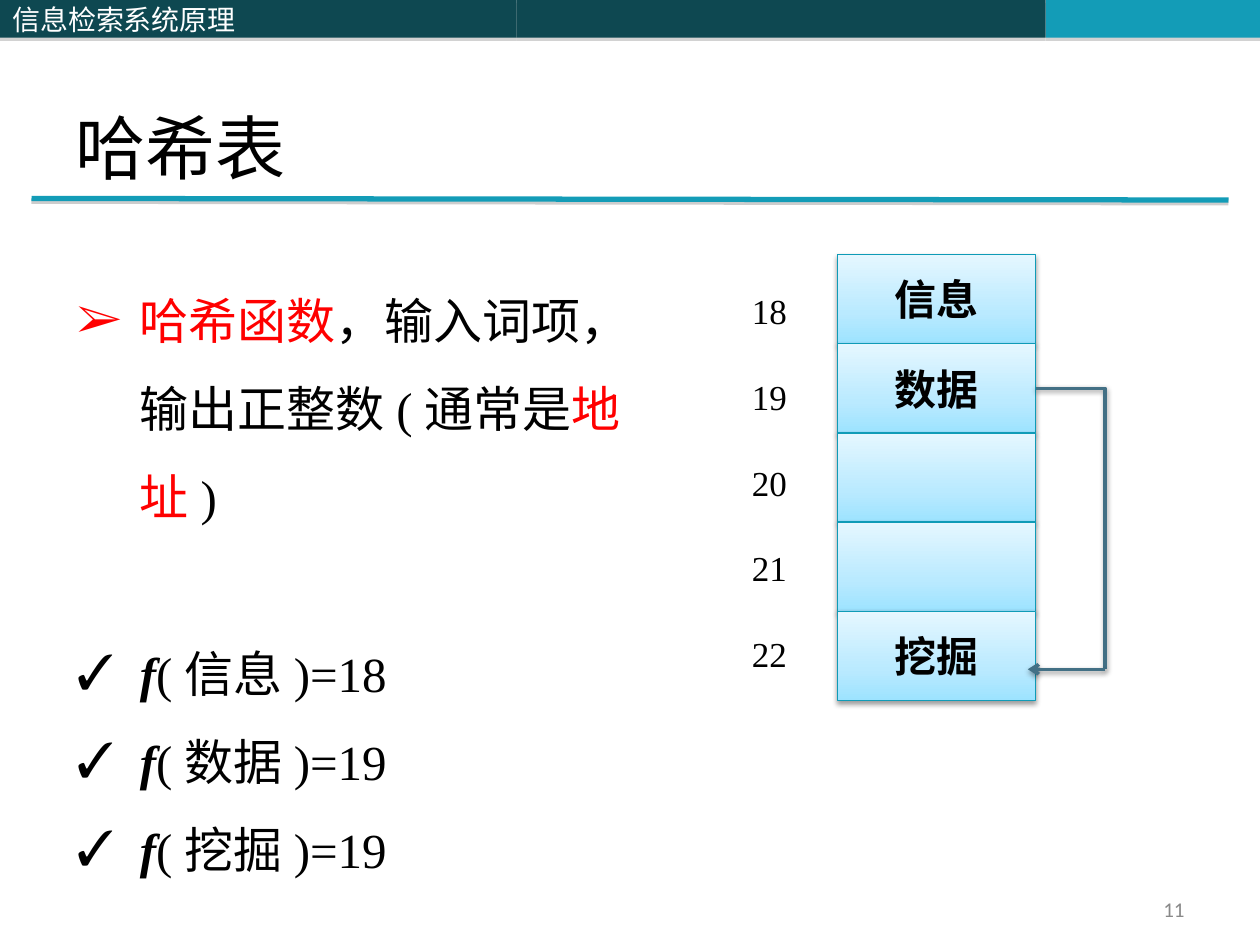
from dataclasses import dataclass

from lxml import etree
from pptx import Presentation
from pptx.dml.color import RGBColor
from pptx.enum.shapes import MSO_CONNECTOR, MSO_SHAPE
from pptx.enum.text import MSO_ANCHOR, MSO_AUTO_SIZE, PP_ALIGN
from pptx.oxml.ns import qn
from pptx.util import Inches, Pt

RECTANGLE = MSO_SHAPE.RECTANGLE
STRAIGHT, ELBOW = MSO_CONNECTOR.STRAIGHT, MSO_CONNECTOR.ELBOW
TOP, MIDDLE, BOTTOM = MSO_ANCHOR.TOP, MSO_ANCHOR.MIDDLE, MSO_ANCHOR.BOTTOM
LEFT, CENTER, RIGHT = PP_ALIGN.LEFT, PP_ALIGN.CENTER, PP_ALIGN.RIGHT
NO_AUTOFIT = MSO_AUTO_SIZE.NONE


@dataclass(frozen=True)
class Theme:
    dark: str = "0E4851"
    accent: str = "139CB7"
    cell_line: str = "0F9BB7"
    link: str = "437085"
    ink: str = "000000"
    key: str = "FF0000"
    light: str = "FFFFFF"
    muted: str = "898989"
    cell_stops: tuple = ((0, "9DE3FF"), (35, "BAEAFF"), (100, "E5F7FF"))
    bar_shadow: tuple = ("808080", 35, 0, 1.8)
    rule_shadow: tuple = ("808080", 38, 0, 1.6)
    cell_shadow: tuple = ("000000", 38, 3.1, 1.6)
    serif: str = "Times New Roman"
    sans: str = "Calibri"
    chinese: str = "Noto Sans CJK SC"
    title: int = 40
    body: int = 28
    cell: int = 24
    index: int = 20
    header: int = 16
    number: int = 12


THEME = Theme()


@dataclass(frozen=True)
class Box:
    left: float
    top: float
    width: float
    height: float

    def share(self, x, y, width, height):
        return Box(*self.point(x, y), self.width * width, self.height * height)

    def point(self, x, y):
        return self.left + self.width * x, self.top + self.height * y

    def emu(self):
        return [Inches(v) for v in (self.left, self.top, self.width, self.height)]


def assign(target, values):
    for name, value in values.items():
        setattr(target, name, value)


def child(parent, tag, **attributes):
    return etree.SubElement(parent, qn(tag), {k: str(v) for k, v in attributes.items()})


def add_shadow(properties, shadow):
    color, opacity, blur, distance = shadow
    outer = child(child(properties, "a:effectLst"), "a:outerShdw", blurRad=Pt(blur),
                  dist=Pt(distance), dir=5400000, rotWithShape=0)
    child(child(outer, "a:srgbClr", val=color), "a:alpha", val=opacity * 1000)


def add_run(paragraph, text, size, font, color, **emphasis):
    run = paragraph.add_run()
    run.text = text
    assign(run.font, {"size": Pt(size), "name": font, **emphasis})
    run.font.color.rgb = RGBColor.from_string(color)
    child(run.font._element, "a:ea", typeface=THEME.chinese)


def format_frame(frame, anchor):
    assign(frame, {"word_wrap": True, "auto_size": NO_AUTOFIT, "vertical_anchor": anchor})


def place(shape, box):
    assign(shape, dict(zip(("left", "top", "width", "height"), box.emu())))


def add_bar(slide, box, color):
    bar = slide.shapes.add_shape(RECTANGLE, *box.emu())
    bar.fill.solid()
    bar.fill.fore_color.rgb = RGBColor.from_string(color)
    bar.line.fill.background()
    add_shadow(bar._element.spPr, THEME.bar_shadow)
    return bar


def add_line(slide, kind, start, end, color, width, shadow):
    line = slide.shapes.add_connector(kind, *[Inches(v) for v in (*start, *end)])
    line.line.color.rgb = RGBColor.from_string(color)
    line.line.width = Pt(width)
    add_shadow(line._element.spPr, shadow)
    return line


def add_header(slide, box, course):
    left_share, right_start = 0.41, 0.83
    add_bar(slide, box.share(left_share, 0, right_start - left_share, 1), THEME.dark)
    add_bar(slide, box.share(right_start, 0, 1 - right_start, 1), THEME.accent)
    name_bar = add_bar(slide, box.share(0, 0, left_share, 1), THEME.dark)
    format_frame(name_bar.text_frame, MIDDLE)
    paragraph = name_bar.text_frame.paragraphs[0]
    paragraph.alignment = LEFT
    add_run(paragraph, course, THEME.header, THEME.chinese, THEME.light)


def add_title(slide, box, text):
    title = slide.shapes.title
    place(title, box)
    format_frame(title.text_frame, BOTTOM)
    paragraph = title.text_frame.paragraphs[0]
    paragraph.alignment = LEFT
    add_run(paragraph, text, THEME.title, THEME.serif, THEME.ink)
    overhang = 0.25 / box.width
    add_line(slide, STRAIGHT, box.point(-overhang, 1.02), box.point(1 + overhang, 1.03),
             THEME.accent, 3, THEME.rule_shadow)


def add_list(slide, box, items):
    body = slide.placeholders[1]
    place(body, box)
    frame = body.text_frame
    format_frame(frame, TOP)
    for number, (bullet, gap, runs) in enumerate(items):
        paragraph = frame.add_paragraph() if number else frame.paragraphs[0]
        assign(paragraph, {"alignment": LEFT, "line_spacing": 1.5,
                           "space_before": Pt(gap), "space_after": Pt(0)})
        properties = paragraph._p.get_or_add_pPr()
        properties.set("marL", str(Inches(0.5)))
        properties.set("indent", str(-Inches(0.5)))
        child(properties, "a:buFont", typeface=THEME.serif)
        child(properties, "a:buChar", char=bullet)
        for text, color, emphasis in runs:
            add_run(paragraph, text, THEME.body, THEME.serif, color, **emphasis)


def add_cell(slide, box, word):
    cell = slide.shapes.add_shape(RECTANGLE, *box.emu())
    cell.fill.gradient()
    cell.fill.gradient_angle = 90
    stops = cell._element.spPr.find(".//" + qn("a:gsLst"))
    stops[:] = []
    for position, color in THEME.cell_stops:
        child(child(stops, "a:gs", pos=position * 1000), "a:srgbClr", val=color)
    cell.line.color.rgb = RGBColor.from_string(THEME.cell_line)
    cell.line.width = Pt(0.75)
    add_shadow(cell._element.spPr, THEME.cell_shadow)
    if word:
        format_frame(cell.text_frame, MIDDLE)
        paragraph = cell.text_frame.paragraphs[0]
        paragraph.alignment = CENTER
        add_run(paragraph, word, THEME.cell, THEME.sans, THEME.ink, bold=True)


def add_hash_table(slide, box, words, collision_row):
    row = 1 / len(words)
    for number, word in enumerate(words):
        add_cell(slide, box.share(0, number * row, 1, row), word)
    turn, target = 1.35, 0.93
    corner = box.point(turn, target)
    bend = add_line(slide, ELBOW, box.point(1, (collision_row + 0.5) * row), corner,
                    THEME.link, 2, THEME.cell_shadow)
    bend._element.spPr.find(qn("a:prstGeom")).set("prst", "bentConnector2")
    arrow = add_line(slide, STRAIGHT, corner, box.point(0.96, target),
                     THEME.link, 2, THEME.cell_shadow)
    child(arrow._element.spPr.find(qn("a:ln")), "a:tailEnd", type="arrow")


def add_addresses(slide, box, addresses):
    frame = slide.shapes.add_textbox(*box.emu()).text_frame
    format_frame(frame, TOP)
    for number, address in enumerate(addresses):
        paragraph = frame.add_paragraph() if number else frame.paragraphs[0]
        paragraph.space_after = Pt(25)
        add_run(paragraph, str(address), THEME.index, THEME.serif, THEME.ink)


def add_page_number(slide, box, number):
    frame = slide.shapes.add_textbox(*box.emu()).text_frame
    format_frame(frame, MIDDLE)
    paragraph = frame.paragraphs[0]
    paragraph.alignment = RIGHT
    add_run(paragraph, number, THEME.number, THEME.sans, THEME.muted)


def main():
    deck = Presentation()
    assign(deck, {"slide_width": Inches(10), "slide_height": Inches(7.5)})
    slide = deck.slides.add_slide(deck.slide_layouts[1])
    definition = [("哈希函数", THEME.key, {}), ("，输入词项，输出正整数(通常是", THEME.ink, {}),
                  ("地址", THEME.key, {}), (")", THEME.ink, {})]
    items = [("➢", 0, definition)]
    for word, value, gap in (("信息", 18, 50.5), ("数据", 19, 0), ("挖掘", 19, 0)):
        items.append(("✓", gap, [("f", THEME.ink, {"bold": True, "italic": True}),
                                 (f"({word})={value}", THEME.ink, {})]))
    add_header(slide, Box(0, 0, 10, 0.3), "信息检索系统原理")
    add_title(slide, Box(0.5, 0.3, 9, 1.25), "哈希表")
    add_page_number(slide, Box(7.17, 7.08, 2.33, 0.27), "11")
    add_hash_table(slide, Box(6.65, 2.02, 1.57, 3.54), ["信息", "数据", "", "", "挖掘"], 1)
    add_list(slide, Box(0.51, 2.02, 4.96, 4.34), items)
    add_addresses(slide, Box(5.87, 2.25, 0.87, 3.2), range(18, 23))
    deck.save("out.pptx")


if __name__ == "__main__":
    main()
